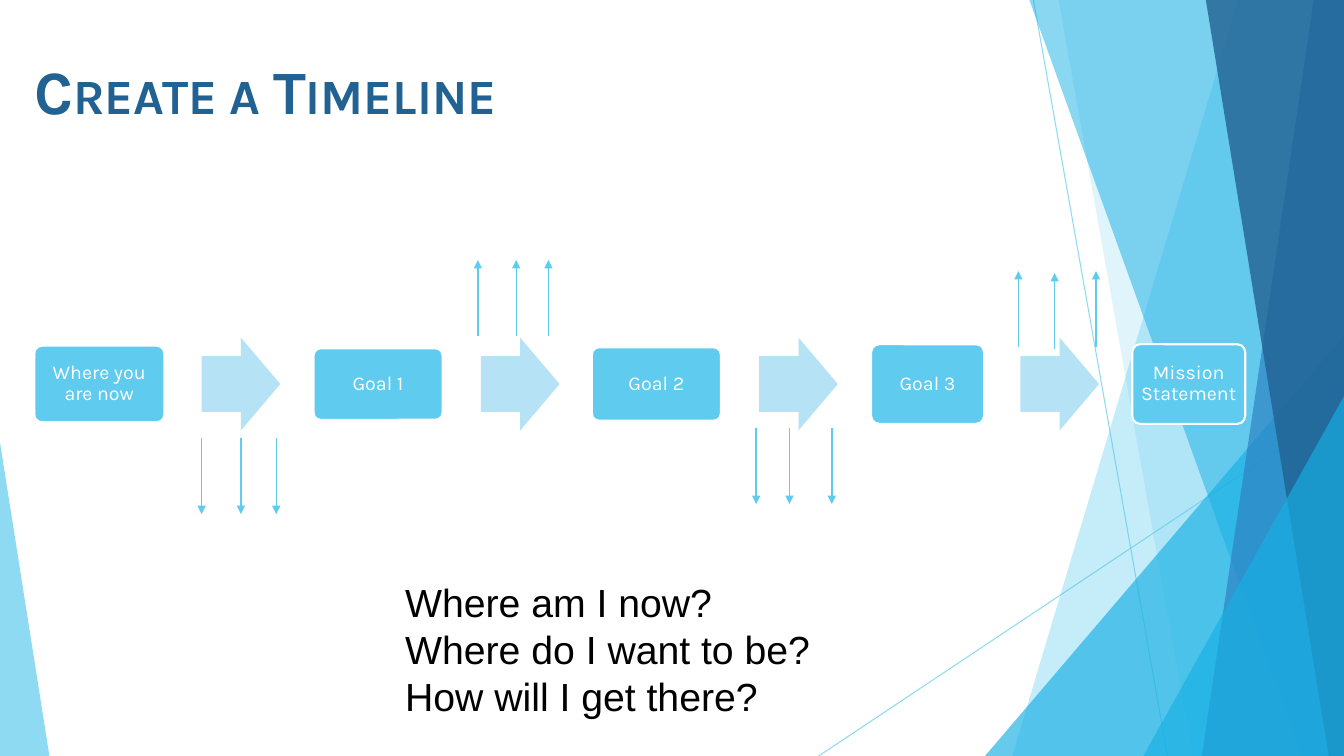
from lxml import etree
from pptx import Presentation
from pptx.dml.color import RGBColor
from pptx.enum.shapes import MSO_CONNECTOR, MSO_SHAPE
from pptx.enum.text import MSO_ANCHOR, PP_ALIGN
from pptx.oxml.ns import qn
from pptx.util import Inches, Pt

STRAIGHT = MSO_CONNECTOR.STRAIGHT
TRIANGLE = MSO_SHAPE.ISOSCELES_TRIANGLE
ROUNDED = MSO_SHAPE.ROUNDED_RECTANGLE
RIGHT_ARROW = MSO_SHAPE.RIGHT_ARROW
MIDDLE, BOTTOM = MSO_ANCHOR.MIDDLE, MSO_ANCHOR.BOTTOM
CENTER = PP_ALIGN.CENTER

SKY = RGBColor(0x5F, 0xCB, 0xEF)
PALE = RGBColor(0xB6, 0xE2, 0xF6)
CYAN = RGBColor(0x17, 0xB0, 0xE4)
BLUE = RGBColor(0x2E, 0x83, 0xC3)
NAVY = RGBColor(0x22, 0x62, 0x92)
WHITE = RGBColor(0xFF, 0xFF, 0xFF)
BLACK = RGBColor(0, 0, 0)

WIDTH, HEIGHT = 13.33, 7.5
ROW_CENTER = 3.81
TICK_LENGTH = 0.75

# Colour, opacity in percent, x at the slide top, x at the slide bottom
BANDS_BEHIND = [(SKY, 36, 12.28, 10.04), (SKY, 20, 10.5, 11.83)]
BANDS_FRONT = [(CYAN, 50, 10.21, 12.91), (BLUE, 70, 13.03, 11.92),
               (NAVY, 80, 11.96, 13.18)]

# Label, left, width, height
STEPS = [("Where you are now", 0.34, 1.29, 0.76), ("Goal 1", 3.11, 1.28, 0.71),
         ("Goal 2", 5.87, 1.28, 0.73), ("Goal 3", 8.64, 1.12, 0.79),
         ("Mission Statement", 11.23, 1.12, 0.79)]
ARROW_LEFTS = [2, 4.77, 7.53, 10.12]

# Direction (1 is down, -1 is up), then the start point of each tick
TICKS = [(1, [(2, 4.35), (2.39, 4.35), (2.74, 4.35)]),
         (-1, [(4.74, 3.33), (5.12, 3.33), (5.44, 3.33)]),
         (1, [(7.5, 4.25), (7.83, 4.25), (8.25, 4.25)]),
         (-1, [(10.1, 3.44), (10.46, 3.46), (10.87, 3.44)])]

QUESTIONS = ["Where am I now?", "Where do I want to be?", "How will I get there?"]


def set_opacity(element, percent):
    color = element.find(".//" + qn("a:srgbClr"))
    etree.SubElement(color, qn("a:alpha"), val=str(percent * 1000))


def fill_shape(shape, color, opacity=100):
    """Give a flat fill without outline or shadow."""
    shape.shadow.inherit = False
    shape.line.fill.background()
    shape.fill.solid()
    shape.fill.fore_color.rgb = color
    if opacity < 100:
        set_opacity(shape.fill._xPr, opacity)


def add_shape(slide, kind, left, top, width, height, color, adjustments, opacity=100):
    shape = slide.shapes.add_shape(
        kind, Inches(left), Inches(top), Inches(width), Inches(height))
    for index, value in enumerate(adjustments):
        shape.adjustments[index] = value
    fill_shape(shape, color, opacity)
    return shape


def add_band(slide, color, opacity, top_x, bottom_x):
    """Fill from a slanted left edge to the right edge of the slide."""
    builder = slide.shapes.build_freeform(Inches(top_x), 0)
    builder.add_line_segments(
        [(Inches(x), Inches(y))
         for x, y in [(WIDTH, 0), (WIDTH, HEIGHT), (bottom_x, HEIGHT)]])
    fill_shape(builder.convert_to_shape(), color, opacity)


def add_line(slide, start, end, weight):
    line = slide.shapes.add_connector(STRAIGHT, *map(Inches, start + end))
    line.line.color.rgb = SKY
    line.line.width = Pt(weight)
    etree.SubElement(line._element.spPr, qn("a:effectLst"))
    return line


def add_tick(slide, x, y, direction):
    tick = add_line(slide, (x, y), (x, y + direction * TICK_LENGTH), 1)
    etree.SubElement(tick.line._get_or_add_ln(), qn("a:tailEnd"), type="triangle")


def set_font(paragraph, name, size, color):
    paragraph.font.name = name
    paragraph.font.size = Pt(size)
    paragraph.font.color.rgb = color


def add_text_frame(slide, left, top, width, height):
    box = slide.shapes.add_textbox(
        Inches(left), Inches(top), Inches(width), Inches(height))
    box.text_frame.word_wrap = True
    return box.text_frame


def add_backdrop(slide):
    for start, end in [((10.25, 0), (11.58, HEIGHT)), ((WIDTH, 4.03), (8.12, HEIGHT))]:
        set_opacity(add_line(slide, start, end, 0.75)._element, 70)
    for band in BANDS_BEHIND:
        add_band(slide, *band)
    add_shape(slide, TRIANGLE, 9.77, 3.33, 3.56, 4.17, CYAN, [1], 66)
    for band in BANDS_FRONT:
        add_band(slide, *band)
    add_shape(slide, TRIANGLE, 11.34, 3.93, 1.99, 3.57, CYAN, [1], 66)
    add_shape(slide, TRIANGLE, 0, 4.39, 0.49, 3.11, SKY, [0], 70)


def add_title(slide):
    frame = add_text_frame(slide, 0.24, 0.48, 6.94, 0.83)
    frame.vertical_anchor = BOTTOM
    title = frame.paragraphs[0]
    run = title.add_run()
    run.text = "Create a Timeline"
    set_font(run, "Karla", 44, NAVY)
    run.font.bold = True
    run.font._element.set("cap", "small")


def add_step(slide, label, left, width, height):
    step = add_shape(slide, ROUNDED, left, ROW_CENTER - height / 2, width, height,
                     SKY, [0.1])
    step.line.color.rgb = WHITE
    step.line.width = Pt(1.5)
    frame = step.text_frame
    frame.word_wrap = True
    frame.vertical_anchor = MIDDLE
    frame.margin_left = frame.margin_right = Inches(0.03)
    frame.margin_top = frame.margin_bottom = Inches(0.03)
    paragraph = frame.paragraphs[0]
    paragraph.text = label
    paragraph.alignment = CENTER
    paragraph.line_spacing = 0.9
    set_font(paragraph, "Karla", 14, WHITE)


def add_questions(slide):
    frame = add_text_frame(slide, 3.92, 5.69, 4.86, 1.52)
    frame.text = "\n".join(QUESTIONS)
    for paragraph in frame.paragraphs:
        set_font(paragraph, "Arial", 28, BLACK)


def main():
    presentation = Presentation()
    presentation.slide_width = Inches(WIDTH)
    presentation.slide_height = Inches(HEIGHT)
    slide = presentation.slides.add_slide(presentation.slide_layouts[6])
    add_backdrop(slide)
    add_title(slide)
    for step in STEPS:
        add_step(slide, *step)
    for left in ARROW_LEFTS:
        add_shape(slide, RIGHT_ARROW, left, ROW_CENTER - 0.46, 0.78, 0.92,
                  PALE, [0.6, 0.5])
    for direction, starts in TICKS:
        for x, y in starts:
            add_tick(slide, x, y, direction)
    add_questions(slide)
    presentation.save("out.pptx")


if __name__ == "__main__":
    main()
